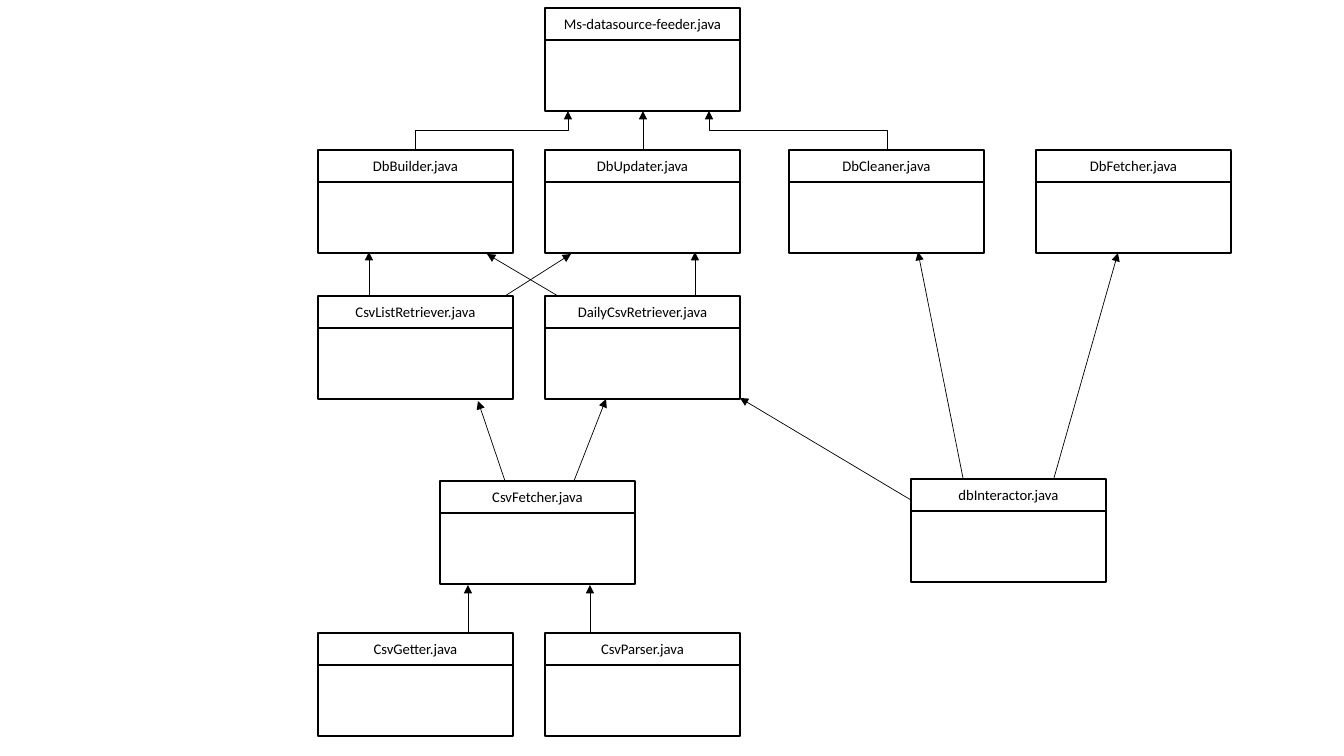
from pptx import Presentation
from pptx.dml.color import RGBColor
from pptx.enum import shapes, text
from pptx.oxml import ns, xmlchemy
from pptx.util import Emu, Pt

COLORS = {"ink": "000000"}
FONT = "Calibri"
CLASSES = [
    ("Ms-datasource-feeder.java", 545, 8),
    ("DbBuilder.java", 318, 150),
    ("DbUpdater.java", 545, 150),
    ("DbCleaner.java", 789, 150),
    ("DbFetcher.java", 1036, 150),
    ("CsvListRetriever.java", 318, 296),
    ("DailyCsvRetriever.java", 545, 296),
    ("CsvFetcher.java", 440, 481),
    ("dbInteractor.java", 911, 479),
    ("CsvGetter.java", 318, 633),
    ("CsvParser.java", 545, 633),
]
STRAIGHT_ARROWS = [
    (643, 150, 643, 111),
    (695, 296, 695, 252),
    (369, 296, 369, 252),
    (558, 296, 487, 254),
    (505, 296, 571, 254),
    (911, 500, 740, 398),
    (963, 478, 918, 252),
    (1054, 478, 1118, 253),
    (505, 481, 478, 401),
    (574, 481, 606, 399),
    (468, 633, 468, 585),
    (590, 633, 590, 585),
]
BENT_ARROWS = [
    (415, 150, 568, 111),
    (887, 150, 709, 111),
]
BOX_W, HEADER_H, BODY_H = 195, 32, 71
NAME_INSET, NAME_H = 7, 18


def px(length):
    return Emu(round(length * 914400 / 100.8))


def ink():
    return RGBColor.from_string(COLORS["ink"])


def add_compartment(group, x, y, height):
    compartment = group.shapes.add_shape(
        shapes.MSO_SHAPE.RECTANGLE, px(x), px(y), px(BOX_W), px(height))
    compartment.shadow.inherit = False
    compartment.fill.background()
    compartment.line.color.rgb = ink()
    compartment.line.width = Pt(1)


def add_class(slide, name, x, y):
    group = slide.shapes.add_group_shape()
    label = group.shapes.add_textbox(
        px(x), px(y + NAME_INSET), px(BOX_W), px(NAME_H))
    frame = label.text_frame
    frame.word_wrap = True
    frame.auto_size = text.MSO_AUTO_SIZE.SHAPE_TO_FIT_TEXT
    frame.margin_left = frame.margin_right = 0
    frame.margin_top = frame.margin_bottom = 0
    paragraph = frame.paragraphs[0]
    paragraph.alignment = text.PP_ALIGN.CENTER
    run = paragraph.add_run()
    run.text = name
    run.font.name = FONT
    run.font.size = Pt(10.5)
    run.font.color.rgb = ink()
    add_compartment(group, x, y, HEADER_H)
    add_compartment(group, x, y + HEADER_H, BODY_H)


def add_arrow(slide, kind, x1, y1, x2, y2):
    arrow = slide.shapes.add_connector(kind, px(x1), px(y1), px(x2), px(y2))
    arrow.line.color.rgb = ink()
    arrow.line.width = Pt(0.5)
    head = xmlchemy.OxmlElement("a:tailEnd")
    head.set("type", "triangle")
    arrow.line._get_or_add_ln().append(head)
    arrow._element.spPr.append(xmlchemy.OxmlElement("a:effectLst"))
    return arrow


def add_bent_arrow(slide, x1, y1, x2, y2):
    mid_x, mid_y = (x1 + x2) / 2, (y1 + y2) / 2
    half_rise, half_run = (y1 - y2) / 2, (x2 - x1) / 2
    arrow = add_arrow(
        slide, shapes.MSO_CONNECTOR.ELBOW,
        mid_x - half_rise, mid_y - half_run,
        mid_x + half_rise, mid_y + half_run)
    arrow._element.spPr.find(ns.qn("a:xfrm")).set("rot", "16200000")


def main():
    deck = Presentation()
    deck.slide_width, deck.slide_height = px(1344), px(756)
    slide = deck.slides.add_slide(deck.slide_layouts[6])
    for name, x, y in CLASSES:
        add_class(slide, name, x, y)
    for ends in STRAIGHT_ARROWS:
        add_arrow(slide, shapes.MSO_CONNECTOR.STRAIGHT, *ends)
    for ends in BENT_ARROWS:
        add_bent_arrow(slide, *ends)
    deck.save("out.pptx")


if __name__ == "__main__":
    main()
